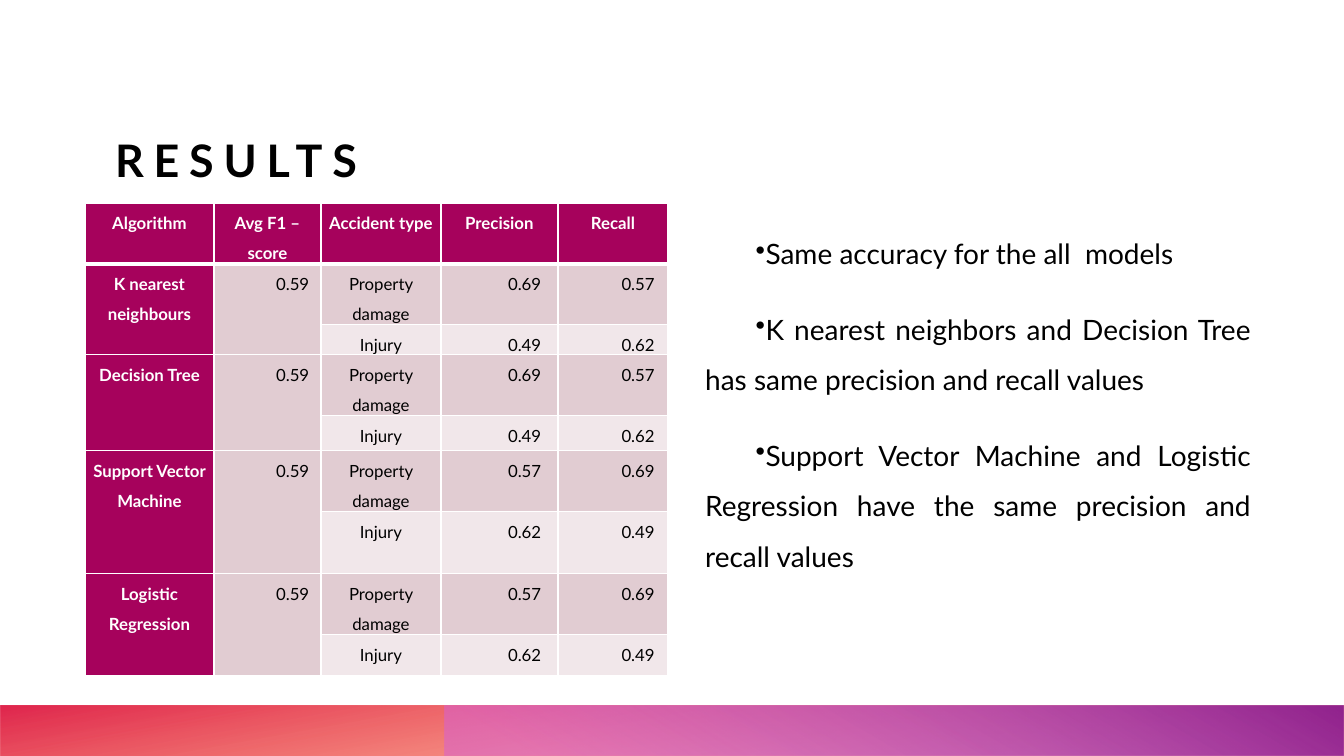
from dataclasses import dataclass
from typing import Optional

from lxml import etree
from pptx import Presentation
from pptx import util as u
from pptx.dml.color import RGBColor
from pptx.enum import shapes, text
from pptx.oxml import ns

BLACK = RGBColor(0x00, 0x00, 0x00)
WHITE = RGBColor(0xFF, 0xFF, 0xFF)
PLUM = RGBColor(0xA6, 0x02, 0x5C)
ROSE = RGBColor(0xE1, 0xCC, 0xD2)
BLUSH = RGBColor(0xF1, 0xE7, 0xEA)
ORANGE = RGBColor(0xFE, 0x4A, 0x00)
RED = RGBColor(0xDA, 0x00, 0x2F)
PINK = RGBColor(0xD8, 0x61, 0xD4)
PURPLE = RGBColor(0x92, 0x24, 0x8E)

FONT = "Lato"
MID = text.PP_ALIGN.CENTER


def px(n: int) -> u.Emu:
    return u.Emu(round(n * 914400 / 100.8))


@dataclass
class Stop:
    place: int
    color: RGBColor
    alpha: int = 100


@dataclass
class Band:
    left: int
    width: int
    turn: int
    angle: int
    stops: tuple[Stop, ...]


@dataclass
class Model:
    name: str
    score: str
    damage: tuple[str, str]
    injury: tuple[str, str]


BANDS = (
    Band(0, 1344, 180, 100, (Stop(14, ORANGE, 28), Stop(100, RED, 85))),
    Band(445, 899, 0, 240, (Stop(9, PINK, 55), Stop(99, PURPLE))),
)
HEADS = ("Algorithm", "Avg F1 – score", "Accident type", "Precision", "Recall")
MODELS = (
    Model("K nearest neighbours", "0.59", ("0.69", "0.57"), ("0.49", "0.62")),
    Model("Decision Tree", "0.59", ("0.69", "0.57"), ("0.49", "0.62")),
    Model("Support Vector Machine", "0.59", ("0.57", "0.69"), ("0.62", "0.49")),
    Model("Logistic Regression", "0.59", ("0.57", "0.69"), ("0.62", "0.49")),
)
POINTS = (
    "Same accuracy for the all  models",
    "K nearest neighbors and Decision Tree has same precision and recall values",
    "Support Vector Machine and Logistic Regression have the same precision "
    "and recall values",
)
COLS = (129, 107, 120, 117, 110)
ROWS = (61, 60, 30, 61, 35, 61, 62, 61, 41)


def add(base, tag: str, **attrs):
    return etree.SubElement(base, ns.qn(tag), attrs)


def style(para, size: int, color: RGBColor, bold: bool = False) -> None:
    for run in para.runs:
        run.font.name = FONT
        run.font.size = u.Pt(size)
        run.font.bold = bold
        run.font.color.rgb = color


def draw_band(slide, band: Band) -> None:
    shape = slide.shapes.add_shape(
        shapes.MSO_SHAPE.RECTANGLE, px(band.left), px(706), px(band.width), px(50)
    )
    shape.shadow.inherit = False
    shape.line.fill.background()
    shape.rotation = band.turn
    props = shape._element.spPr
    props.find(ns.qn("a:xfrm")).set("flipH", "1")
    grad = etree.Element(ns.qn("a:gradFill"), rotWithShape="1")
    stops = add(grad, "a:gsLst")
    for stop in band.stops:
        mark = add(stops, "a:gs", pos=str(stop.place * 1000))
        color = add(mark, "a:srgbClr", val=str(stop.color))
        add(color, "a:alpha", val=str(stop.alpha * 1000))
    add(grad, "a:lin", ang=str(band.angle * 60000), scaled="0")
    props.find(ns.qn("a:prstGeom")).addnext(grad)


def add_box(slide, left: int, top: int, width: int, height: int):
    box = slide.shapes.add_textbox(px(left), px(top), px(width), px(height))
    frame = box.text_frame
    frame.word_wrap = True
    frame.margin_left = frame.margin_right = 0
    frame.margin_top = frame.margin_bottom = 0
    return frame


def draw_title(slide) -> None:
    frame = add_box(slide, 115, 50, 1136, 137)
    frame.vertical_anchor = text.MSO_ANCHOR.BOTTOM
    frame.text = "RESULTS"
    para = frame.paragraphs[0]
    style(para, 32, BLACK, True)
    para.runs[0].font._element.set("spc", "700")


def draw_points(slide) -> None:
    frame = add_box(slide, 680, 220, 571, 439)
    frame.text = "\n".join(POINTS)
    for para in frame.paragraphs:
        para.alignment = text.PP_ALIGN.JUSTIFY
        para.line_spacing = 1.5
        para.space_before = u.Pt(10)
        para.space_after = u.Pt(8)
        props = para._p.get_or_add_pPr()
        props.set("marL", str(u.Inches(0.25)))
        props.set("indent", str(u.Inches(0.5)))
        add(props, "a:buChar", char="•")
        style(para, 20, BLACK)


def set_edges(cell, top: int, bottom: int) -> None:
    props = cell._tc.get_or_add_tcPr()
    for side, width in (("L", 1), ("R", 1), ("T", top), ("B", bottom)):
        line = add(props, f"a:ln{side}", w=str(u.Pt(width)))
        add(add(line, "a:solidFill"), "a:srgbClr", val=str(WHITE))


def fill_cell(cell, words: Optional[str], row: int, col: int) -> None:
    set_edges(cell, 3 if row == 1 else 1, 3 if row == 0 else 1)
    dark = row == 0 or col == 0
    cell.fill.solid()
    cell.fill.fore_color.rgb = (
        PLUM if dark else ROSE if row % 2 or col == 1 else BLUSH
    )
    cell.margin_left = cell.margin_right = px(7)
    cell.margin_top = cell.margin_bottom = 0
    if words is None:
        return
    cell.text_frame.text = words
    para = cell.text_frame.paragraphs[0]
    para.alignment = MID
    para.line_spacing = 1.5
    para.space_after = u.Pt(8)
    if row and col in (1, 3, 4):
        para._p.get_or_add_pPr().set("indent", str(u.Inches(0.5)))
    style(para, 12, WHITE if dark else BLACK, dark)


def draw_table(slide) -> None:
    grid = [HEADS]
    for model in MODELS:
        grid.append((model.name, model.score, "Property damage", *model.damage))
        grid.append((None, None, "Injury", *model.injury))
    table = slide.shapes.add_table(
        len(ROWS), len(COLS), px(85), px(203), px(sum(COLS)), px(sum(ROWS))
    ).table
    for col, width in zip(table.columns, COLS):
        col.width = px(width)
    for row, height in zip(table.rows, ROWS):
        row.height = px(height)
    for row, line in enumerate(grid):
        for col, words in enumerate(line):
            fill_cell(table.cell(row, col), words, row, col)
    for row in range(1, len(ROWS), 2):
        for col in (0, 1):
            table.cell(row, col).merge(table.cell(row + 1, col))


def main() -> None:
    deck = Presentation()
    deck.slide_width, deck.slide_height = px(1344), px(756)
    slide = deck.slides.add_slide(deck.slide_layouts[6])
    for band in BANDS:
        draw_band(slide, band)
    draw_title(slide)
    draw_points(slide)
    draw_table(slide)
    deck.save("out.pptx")


if __name__ == "__main__":
    main()
